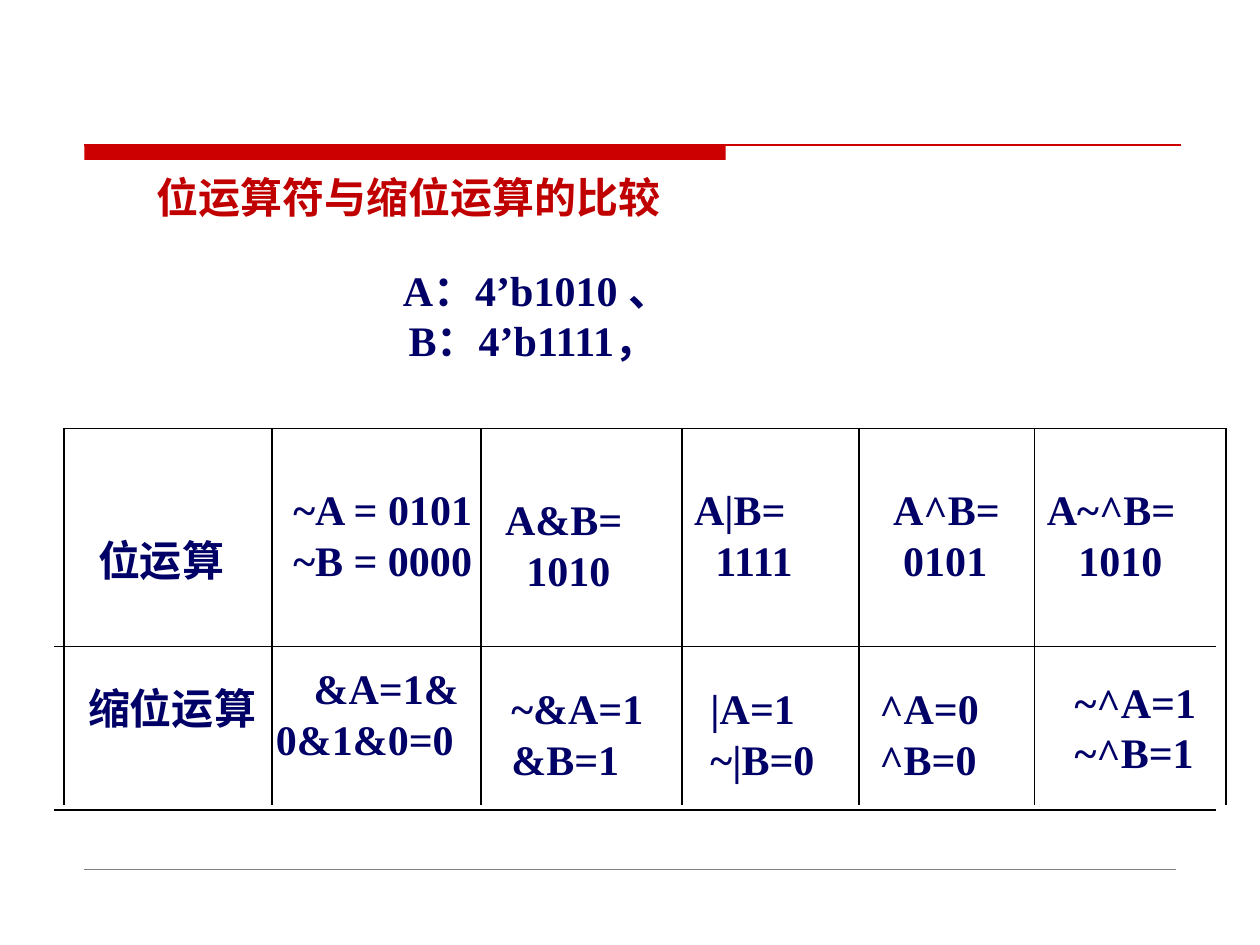
from dataclasses import dataclass

from lxml import etree
from pptx import Presentation
from pptx.dml.color import RGBColor
from pptx.enum.shapes import MSO_CONNECTOR, MSO_SHAPE
from pptx.enum.text import MSO_ANCHOR, PP_ALIGN
from pptx.oxml.ns import qn
from pptx.util import Emu, Pt

PX = 9144  # 100 px to the inch
STRAIGHT = MSO_CONNECTOR.STRAIGHT
RECTANGLE = MSO_SHAPE.RECTANGLE
TOP, MIDDLE = MSO_ANCHOR.TOP, MSO_ANCHOR.MIDDLE
LEFT, CENTER = PP_ALIGN.LEFT, PP_ALIGN.CENTER
TITLE_ONLY = 5


@dataclass(frozen=True)
class Theme:
    red: RGBColor = RGBColor(0xCC, 0x00, 0x00)
    title: RGBColor = RGBColor(0xC0, 0x00, 0x00)
    ink: RGBColor = RGBColor(0x00, 0x00, 0x66)
    grid: RGBColor = RGBColor(0x00, 0x00, 0x00)
    footer: RGBColor = RGBColor(0x80, 0x80, 0x80)
    paper: RGBColor = RGBColor(0xFF, 0xFF, 0xFF)
    latin: str = "Times New Roman"
    chinese: str = "Noto Sans CJK SC"
    size: int = 24
    grid_line: float = 1
    rule_line: float = 0.75
    footer_line: float = 0.25


THEME = Theme()

# Each cell: left, top, width, height relative to the grid; (text, first-line indent)
BITWISE_CELLS = [
    ((0, 79, 173, 60), [("位运算", 17)]),
    ((142, 39, 197, 110), [("~A = 0101", 30), ("~B = 0000", 30)]),
    ((315, 47, 181, 79), [("A&B=", 25), ("1010", 42)]),
    ((490, 39, 141, 110), [("A|B=", 0), ("1111", 17)]),
    ((631, 39, 139, 110), [("A^B=", 17), ("0101", 25)]),
    ((770, 39, 151, 102), [("A~^B=", 0), ("1010", 25)]),
]
REDUCTION_CELLS = [
    ((-16, 197, 205, 74), [("缩位运算", 25)]),
    ((158, 181, 168, 130), [("&A=1&0&1&0=0", 30)]),
    ((315, 197, 163, 130), [("~&A=1", 30), ("&B=1", 30)]),
    ((473, 197, 141, 98), [("|A=1", 30), ("~|B=0", 30)]),
    ((607, 197, 139, 98), [("^A=0", 30), ("^B=0", 30)]),
    ((762, 192, 151, 98), [("~^A=1", 30), ("~^B=1", 30)]),
]


def px(*lengths):
    return [Emu(length * PX) for length in lengths]


def add_line(slide, start, end, color, width):
    line = slide.shapes.add_connector(STRAIGHT, *px(*start, *end))
    line.line.color.rgb = color
    line.line.width = Pt(width)
    etree.SubElement(line._element.spPr, qn("a:effectLst"))


def write_lines(frame, lines, color, latin, align=LEFT, anchor=TOP):
    """Fill a text frame with (text, first-line indent) pairs."""
    frame.word_wrap = True
    frame.vertical_anchor = anchor
    for number, (text, indent) in enumerate(lines):
        paragraph = frame.add_paragraph() if number else frame.paragraphs[0]
        paragraph.text = text
        paragraph.alignment = align
        font = paragraph.font
        font.size, font.bold, font.name = Pt(THEME.size), True, latin
        font.color.rgb = color
        properties = paragraph._p.get_or_add_pPr()
        properties.set("marL", "0")
        properties.set("indent", str(indent * PX))
        east_asian = etree.SubElement(properties.find(qn("a:defRPr")), qn("a:ea"))
        east_asian.set("typeface", THEME.chinese)


def add_text(slide, box, lines, **layout):
    frame = slide.shapes.add_textbox(*px(*box)).text_frame
    write_lines(frame, lines, THEME.ink, THEME.latin, **layout)


def draw_rules(slide, left, top, width, height):
    # Heavy bar with a thin extension above the content, hairline below it
    bar = slide.shapes.add_shape(RECTANGLE, *px(left, top, 509, 12))
    bar.shadow.inherit = False
    bar.fill.solid()
    bar.fill.fore_color.rgb = THEME.red
    bar.line.fill.background()
    add_line(slide, (left, top), (left + width, top), THEME.red, THEME.rule_line)
    bottom = top + height
    add_line(slide, (left, bottom), (left + width - 4, bottom),
             THEME.footer, THEME.footer_line)


def draw_title(slide, left, top, width, height):
    title = slide.shapes.title
    title.left, title.top, title.width, title.height = px(left, top, width, height)
    title.fill.solid()
    title.fill.fore_color.rgb = THEME.paper
    title.line.color.rgb = THEME.paper
    title.line.width = Pt(THEME.rule_line)
    write_lines(title.text_frame, [("位运算符与缩位运算的比较", 0)],
                THEME.title, THEME.chinese)


def draw_operands(slide, *box):
    add_text(slide, box, [(" A：4’b1010 、", 0), ("B：4’b1111，", 0)],
             align=CENTER, anchor=MIDDLE)


def draw_comparison(slide, left, top, width, height):
    # Cell text
    for (x, y, w, h), lines in BITWISE_CELLS + REDUCTION_CELLS:
        add_text(slide, (left + x, top + y, w, h), lines)
    # Column edges
    for x in (0, 165, 331, 490, 631, 770, width):
        add_line(slide, (left + x, top), (left + x, top + height),
                 THEME.grid, THEME.grid_line)
    # Row edges: the lower two sit a little to the left
    for shift, y in ((0, 0), (-8, 173), (-8, height + 4)):
        add_line(slide, (left + shift, top + y), (left + shift + width, top + y),
                 THEME.grid, THEME.grid_line)


def main():
    deck = Presentation()
    deck.slide_width, deck.slide_height = px(1000, 750)
    slide = deck.slides.add_slide(deck.slide_layouts[TITLE_ONLY])
    draw_rules(slide, 67, 115, 870, 575)
    draw_title(slide, 114, 131, 439, 58)
    draw_operands(slide, 75, 205, 695, 90)
    draw_comparison(slide, 51, 340, 922, 299)
    deck.save("out.pptx")


if __name__ == "__main__":
    main()
